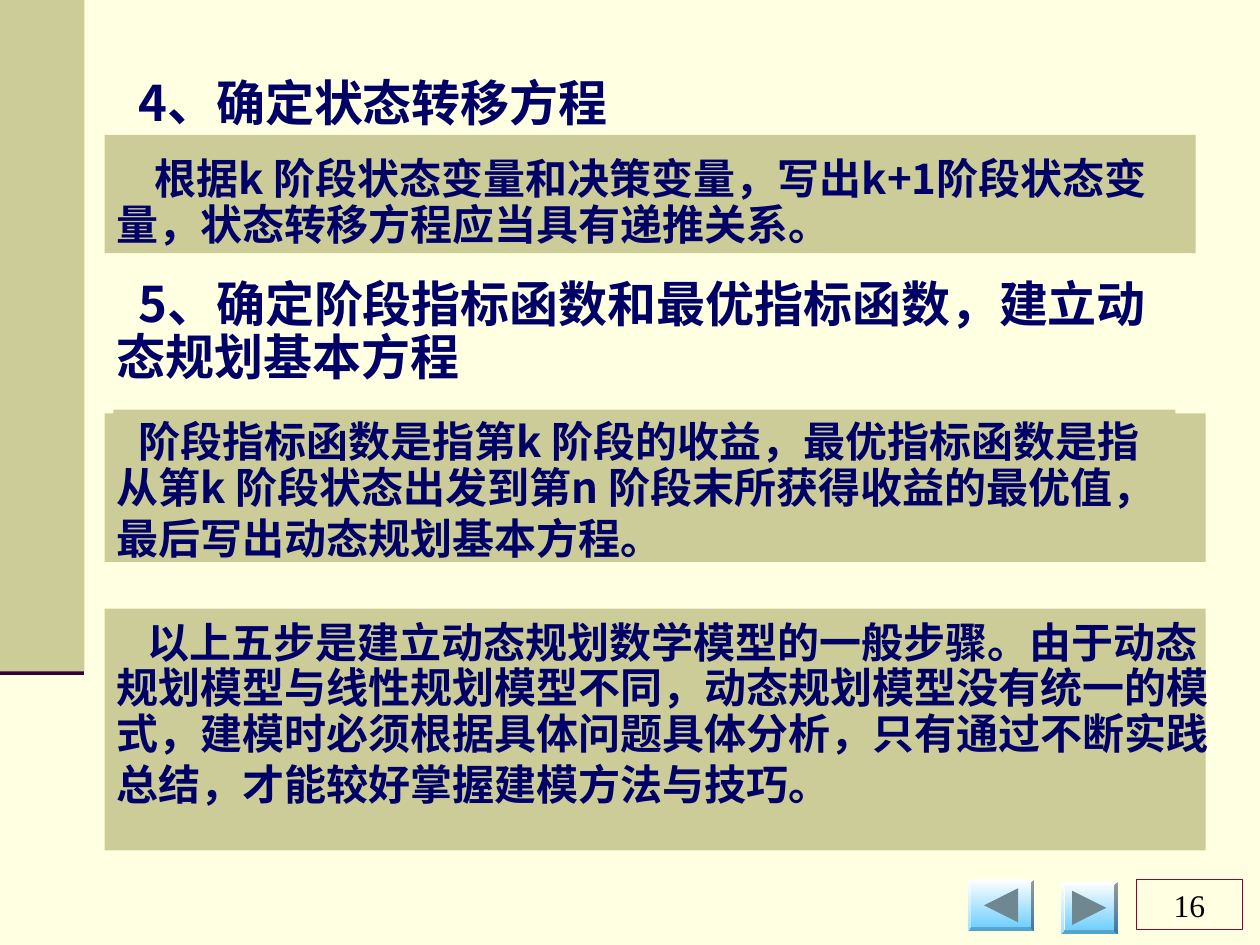
"""Build the slide on steps 4 and 5 of dynamic programming modelling."""
from lxml import etree
from pptx import Presentation, util as u
from pptx.dml.color import RGBColor
from pptx.enum import shapes, text
from pptx.oxml import ns

COLS, ROWS = 100, 75
SAND, NAVY, CJK = "CCCC99", "000066", "Noto Sans CJK SC"
SHAPE = shapes.MSO_SHAPE

prs = Presentation()
prs.slide_width, prs.slide_height = u.Inches(10), u.Inches(7.5)
cw, rh = prs.slide_width / COLS, prs.slide_height / ROWS
s = prs.slides.add_slide(prs.slide_layouts[6])
rgb = RGBColor.from_string
s.background.fill.solid()
s.background.fill.fore_color.rgb = rgb("FFFFE1")


def box(kind, x, y, w, h, fill=None):
    sp = s.shapes.add_shape(kind, *(int(v) for v in (x * cw, y * rh, w * cw, h * rh)))
    sp.shadow.inherit = False
    sp.line.fill.background()
    if fill:
        sp.fill.solid()
        sp.fill.fore_color.rgb = rgb(fill)
    else:
        sp.fill.background()
    return sp


def write(p, words, size, font=CJK, color=NAVY, bold=True):
    r = p.add_run()
    r.text = words
    for key, value in {"size": u.Pt(size), "name": font, "bold": bold}.items():
        setattr(r.font, key, value)
    r.font.color.rgb = rgb(color)
    etree.SubElement(r._r.get_or_add_rPr(), ns.qn("a:ea"), typeface=font)


rule = s.shapes.add_connector(shapes.MSO_CONNECTOR.STRAIGHT, 0, int(53.3 * rh), int(6.7 * cw), int(53.3 * rh))
rule.line.color.rgb = rgb("330033")
rule.line.width = u.Pt(3.5)
etree.SubElement(rule._element.spPr, ns.qn("a:effectLst"))

panels = [
    (0, 0, 6.7, 53.3),
    (8.3, 48.3, 87.4, 19.2),
    (9, 32.5, 84.3, 12.1),
    (8.3, 32.8, 87.4, 11.8),
    (8.3, 10.7, 86.6, 9.4),
]
for panel in panels:
    box(SHAPE.RECTANGLE, *panel, SAND)

for x, y, w, turn in [(76.8, 69.8, 5.3, -90), (84.2, 70, 4.5, 90)]:
    sp = box(SHAPE.BEVEL, x, y, w, 4.1, SAND)
    sp.adjustments[0] = 0.07
    sp.fill.gradient()
    sp.fill.gradient_angle = 270
    for stop, color, place in zip(sp.fill.gradient_stops, ("FFFFFF", "66CCFF"), (0, 1)):
        stop.color.rgb = rgb(color)
        stop.position = place
    box(SHAPE.ISOSCELES_TRIANGLE, x + w / 2 - 1.35, y + 0.7, 2.7, 2.7, "6F8790").rotation = turn

sp = box(SHAPE.RECTANGLE, 90.2, 69.8, 8.4, 4)
sp.line.color.rgb = rgb("990033")
sp.line.width = u.Pt(0.75)
p = sp.text_frame.paragraphs[0]
p.alignment = text.PP_ALIGN.CENTER
write(p, "16", 18, "Times New Roman", "000000", False)

steps = [
    (28, 1.7, 0, "4、确定状态转移方程"),
    (24, 3, 15, "根据k 阶段状态变量和决策变量，写出k+1阶段状态变量，状态转移方程应当具有递推关系。"),
    (28, 1.7, 17.5, "5、确定阶段指标函数和最优指标函数，建立动态规划基本方程"),
    (24, 1.7, 20.5, "阶段指标函数是指第k 阶段的收益，最优指标函数是指从第k 阶段状态出发到第n 阶段末所获得收益的最优值，最后写出动态规划基本方程。"),
]
summary = [
    (24, 2.4, 0, "以上五步是建立动态规划数学模型的一般步骤。由于动态规划模型与线性规划模型不同，动态规划模型没有统一的模式，建模时必须根据具体问题具体分析，只有通过不断实践总结，才能较好掌握建模方法与技巧。"),
]
for x, y, w, h, paras in [(8.3, 5.8, 85.8, 39.8, steps), (8.3, 48.9, 89, 16, summary)]:
    tf = s.shapes.add_textbox(*(int(v) for v in (x * cw, y * rh, w * cw, h * rh))).text_frame
    tf.word_wrap = True
    for i, (size, indent, before, words) in enumerate(paras):
        p = tf.add_paragraph() if i else tf.paragraphs[0]
        for key, value in {"line_spacing": 0.9, "space_before": u.Pt(before)}.items():
            setattr(p, key, value)
        p._p.get_or_add_pPr().set("indent", str(int(indent * cw)))
        write(p, words, size)
    write(p, " ", 28)

prs.save("out.pptx")
